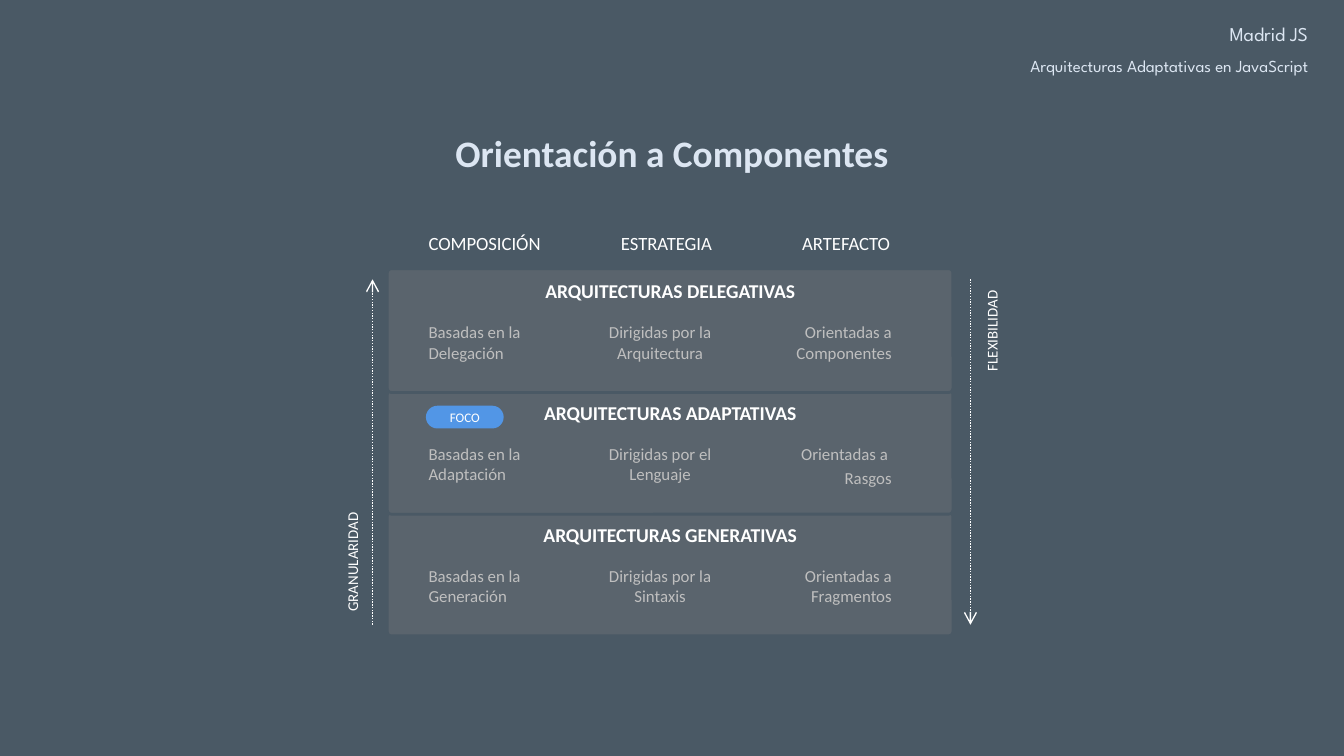
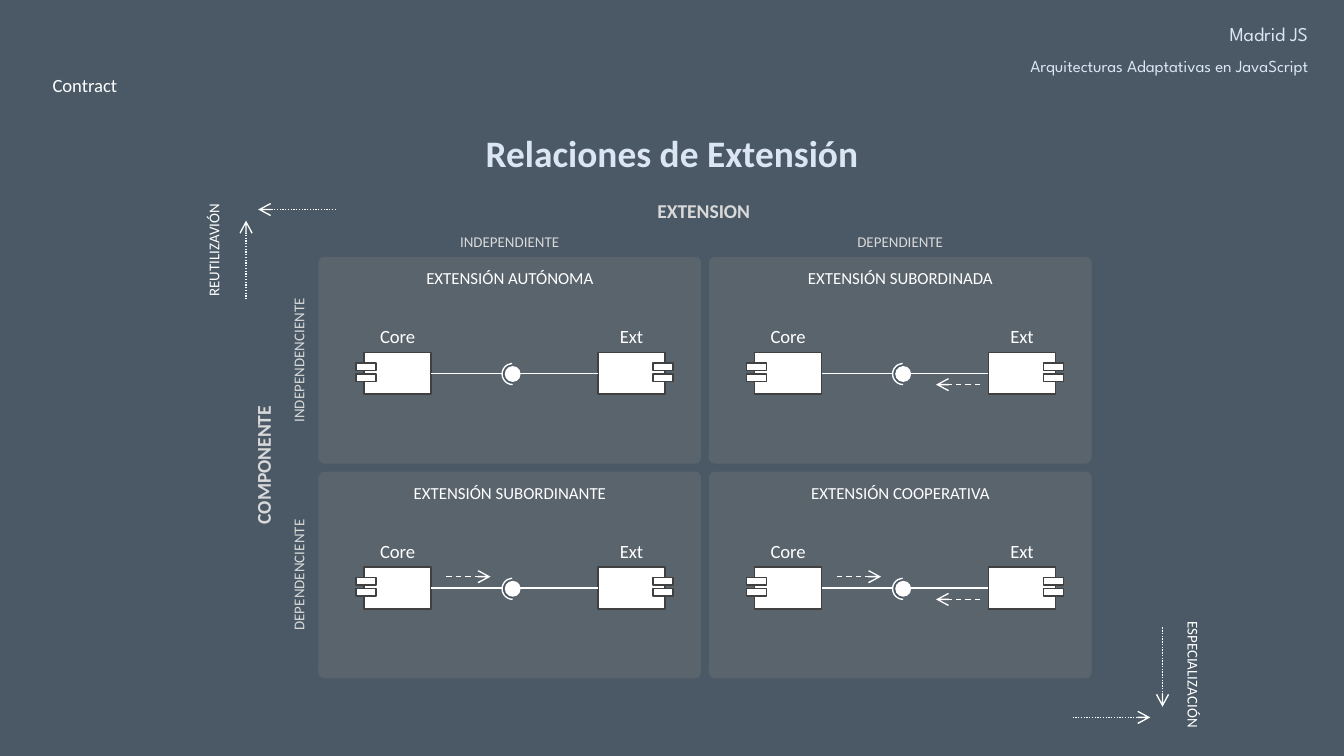
from dataclasses import dataclass
from typing import NamedTuple, Optional

from pptx import Presentation
from pptx.dml.color import RGBColor
from pptx.enum.dml import MSO_LINE
from pptx.enum.shapes import MSO_CONNECTOR, MSO_SHAPE
from pptx.enum.text import MSO_ANCHOR, PP_ALIGN
from pptx.oxml.ns import qn
from pptx.util import Cm, Pt

WHITE = RGBColor(0xFF, 0xFF, 0xFF)
ICE = RGBColor(0xDC, 0xE6, 0xF2)
SILVER = RGBColor(0xD9, 0xD9, 0xD9)
ASH = RGBColor(0xBF, 0xBF, 0xBF)
GREY = RGBColor(0x80, 0x80, 0x80)
CHARCOAL = RGBColor(0x40, 0x40, 0x40)
SLATE = RGBColor(0x4A, 0x59, 0x65)
NAVY = RGBColor(0x2B, 0x3C, 0x4B)
BLUE = RGBColor(0x52, 0x96, 0xE6)

LEFT, CENTER, RIGHT = PP_ALIGN.LEFT, PP_ALIGN.CENTER, PP_ALIGN.RIGHT
TOP, MIDDLE = MSO_ANCHOR.TOP, MSO_ANCHOR.MIDDLE
RECT, ROUND = MSO_SHAPE.RECTANGLE, MSO_SHAPE.ROUNDED_RECTANGLE
OVAL, ARC = MSO_SHAPE.OVAL, MSO_SHAPE.ARC
STRAIGHT = MSO_CONNECTOR.STRAIGHT
DASH, DOTS = MSO_LINE.DASH, MSO_LINE.ROUND_DOT

BODY_FONT, HEADER_FONT = "Calibri", "League Spartan"
SLIDE_W, SLIDE_H = 25.4, 14.29
LABEL_H = 0.46
INSET = 0.13


class Box(NamedTuple):
    x: float
    y: float
    w: float
    h: float = LABEL_H


class Arrow(NamedTuple):
    x1: float
    y1: float
    x2: float
    y2: float


@dataclass
class Column:
    header: str
    header_x: float
    header_w: float
    align: PP_ALIGN


@dataclass
class Level:
    title: str
    details: tuple[str, str, str]


@dataclass
class Quadrant:
    title: str
    core_arrow: bool
    ext_arrow: bool


@dataclass
class SideLabel:
    text: str
    box: Box
    rotation: int
    align: PP_ALIGN = CENTER
    size: float = 8
    color: RGBColor = WHITE
    bold: bool = False


@dataclass
class Part:
    name: str
    x: float
    tab_x: float


# Slide 1 content
COLUMNS = [
    Column("COMPOSICIÓN", 7.85, 2.87, LEFT),
    Column("ESTRATEGIA", 11.35, 2.49, CENTER),
    Column("ARTEFACTO", 14.58, 2.49, RIGHT),
]
LEVELS = [
    Level("ARQUITECTURAS DELEGATIVAS", ("Basadas en la Delegación",
          "Dirigidas por la Arquitectura", "Orientadas a Componentes")),
    Level("ARQUITECTURAS ADAPTATIVAS", ("Basadas en la Adaptación",
          "Dirigidas por el Lenguaje", "Orientadas a \nRasgos")),
    Level("ARQUITECTURAS GENERATIVAS", ("Basadas en la Generación",
          "Dirigidas por la Sintaxis", "Orientadas a Fragmentos")),
]
LEVEL = Box(7.32, 5.08, 10.69, 2.34)
LEVEL_PITCH = 2.3
DETAIL_X, DETAIL_PITCH, DETAIL_W = 7.85, 3.0, 3.25
LEVEL_ARROWS = [Arrow(7.04, 11.81, 7.04, 5.28), Arrow(18.34, 5.28, 18.34, 11.81)]
LEVEL_LABELS = [
    SideLabel("FLEXIBILIDAD", Box(17.7, 6.05, 2.08), 270, RIGHT),
    SideLabel("GRANULARIDAD", Box(5.26, 10.19, 2.79), 270, LEFT),
]

# Slide 2 content
QUADRANTS = [
    Quadrant("EXTENSIÓN AUTÓNOMA", False, False),
    Quadrant("EXTENSIÓN SUBORDINADA", False, True),
    Quadrant("EXTENSIÓN SUBORDINANTE", True, False),
    Quadrant("EXTENSIÓN COOPERATIVA", True, True),
]
QUAD = Box(5.99, 4.83, 7.29, 3.96)
QUAD_DX, QUAD_DY = 7.38, 4.06
PARTS = [Part("Core", 0.89, 0.74), Part("Ext", 5.31, 6.35)]
OUTER_ARROWS = [
    Arrow(4.65, 5.66, 4.65, 4.17),
    Arrow(6.35, 3.96, 4.88, 3.96),
    Arrow(21.97, 11.86, 21.97, 13.36),
    Arrow(20.27, 13.56, 21.74, 13.56),
]
AXIS_LABELS = [
    SideLabel("REUTILIZAVIÓN", Box(2.64, 4.5, 2.79), 270),
    SideLabel("ESPECIALIZACIÓN", Box(21.16, 12.52, 2.79), 90),
    SideLabel("INDEPENDENCIENTE", Box(3.66, 6.58, 3.96), 270, color=SILVER),
    SideLabel("DEPENDENCIENTE", Box(3.66, 6.58 + QUAD_DY, 3.96), 270, color=SILVER),
    SideLabel("COMPONENTE", Box(3.23, 8.56, 3.48), 270, size=10.5, color=SILVER, bold=True),
    SideLabel("INDEPENDIENTE", Box(QUAD.x, 4.34, QUAD.w), 0, color=SILVER),
    SideLabel("DEPENDIENTE", Box(QUAD.x + QUAD_DX, 4.34, QUAD.w), 0, color=SILVER),
    SideLabel("EXTENSION", Box(11.56, 3.76, 3.48), 0, size=10.5, color=SILVER, bold=True),
]


# Drawing helpers
def write(shape, text: str, *, size: float = 10, color: RGBColor = WHITE,
          align: PP_ALIGN = CENTER, anchor: MSO_ANCHOR = TOP, bold: bool = False,
          font: str = BODY_FONT, inset: float = 0, leading: Optional[float] = None) -> None:
    """Add one paragraph per line of text to the shape."""
    tf = shape.text_frame
    tf.word_wrap = True
    tf.vertical_anchor = anchor
    tf.margin_top = tf.margin_bottom = Cm(inset)
    for line in text.split("\n"):
        p = tf.paragraphs[0]
        if tf.text:
            p = tf.add_paragraph()
            p.space_before = Pt(0.2 * size)
        p.alignment = align
        if leading:
            p.line_spacing = Pt(leading)
        r = p.add_run()
        r.text = line
        r.font.name, r.font.size, r.font.bold = font, Pt(size), bold
        r.font.color.rgb = color


def add_box(s, box: Box, rotation: int = 0):
    tb = s.shapes.add_textbox(*map(Cm, box))
    tb.rotation = rotation
    return tb


def add_shape(s, kind: MSO_SHAPE, box: Box, fill: RGBColor, line: Optional[RGBColor] = None,
              width: float = 0.75, alpha: Optional[int] = None, adj: tuple[float, ...] = ()):
    sp = s.shapes.add_shape(kind, *map(Cm, box))
    sp.shadow.inherit = False
    for i, value in enumerate(adj):
        sp.adjustments[i] = value
    sp.fill.solid()
    sp.fill.fore_color.rgb = fill
    if alpha is not None:
        clr = sp.fill._xPr.find(qn("a:solidFill"))[0]
        clr.makeelement(qn("a:alpha"), {})
        alpha_el = clr.makeelement(qn("a:alpha"), {"val": str(alpha * 1000)})
        clr.append(alpha_el)
    if line is None:
        sp.line.fill.background()
    else:
        sp.line.color.rgb = line
        sp.line.width = Pt(width)
    return sp


def add_panel(s, box: Box) -> None:
    add_shape(s, ROUND, box, GREY, SLATE, 1.5, alpha=30, adj=(0.033,))


def add_line(s, ends: Arrow, dash: Optional[MSO_LINE] = None):
    """Draw a white line; a dashed or dotted one gets an arrowhead."""
    c = s.shapes.add_connector(STRAIGHT, *map(Cm, ends))
    c.line.color.rgb = WHITE
    c.line.width = Pt(0.75)
    if dash is not None:
        c.line.dash_style = dash
        ln = c.line._get_or_add_ln()
        ln.append(ln.makeelement(qn("a:tailEnd"), {"type": "arrow"}))
    sp_pr = c._element.spPr
    sp_pr.append(sp_pr.makeelement(qn("a:effectLst"), {}))
    return c


def add_side_label(s, label: SideLabel) -> None:
    write(add_box(s, label.box, label.rotation), label.text, size=label.size,
          color=label.color, align=label.align, anchor=MIDDLE, bold=label.bold)


def new_slide(prs, title: str):
    s = prs.slides.add_slide(prs.slide_layouts[6])
    add_shape(s, RECT, Box(0, 0, SLIDE_W, SLIDE_H), NAVY, alpha=85)
    header = add_box(s, Box(15.44, 0.38, 9.53, 0.89))
    style = dict(color=ICE, align=RIGHT, font=HEADER_FONT, inset=INSET)
    write(header, "Madrid JS", size=10.5, leading=10, **style)
    write(header, "Arquitecturas Adaptativas en JavaScript", size=9, leading=14.6, **style)
    write(add_box(s, Box(8.32, 2.34, 8.76, 1.12)), title, size=20, color=ICE,
          bold=True, inset=INSET)
    return s


# Slides
def components_slide(prs) -> None:
    s = new_slide(prs, "Orientación a Componentes")
    for col in COLUMNS:
        write(add_box(s, Box(col.header_x, 4.37, col.header_w)), col.header,
              align=col.align, anchor=MIDDLE)
    # Lower levels go first so each upper border overlaps the next one
    for row, level in reversed(list(enumerate(LEVELS))):
        y = LEVEL.y + row * LEVEL_PITCH
        add_panel(s, LEVEL._replace(y=y))
        write(add_box(s, Box(7.59, y + 0.2, 10.16)), level.title, size=10.5, bold=True)
        for i, (col, detail) in enumerate(zip(COLUMNS, level.details)):
            box = Box(DETAIL_X + i * DETAIL_PITCH, y + 1.01, DETAIL_W)
            write(add_box(s, box), detail, size=9, color=ASH, align=col.align)
    for arrow in LEVEL_ARROWS:
        add_line(s, arrow, DOTS)
    for label in LEVEL_LABELS:
        add_side_label(s, label)
    focus = add_shape(s, ROUND, Box(8.05, 7.67, 1.47, 0.43), BLUE, adj=(0.5,))
    write(focus, "FOCO", size=7, anchor=MIDDLE)


def add_part(s, part: Part, x: float, y: float):
    """Draw a component with its two tabs and its name."""
    body = add_shape(s, RECT, Box(x + part.x, y + 1.83, 1.27, 0.79), WHITE, CHARCOAL)
    for tab_y in (2.03, 2.24):
        add_shape(s, RECT, Box(x + part.tab_x, y + tab_y, 0.38, 0.14), WHITE, CHARCOAL)
    write(add_box(s, Box(x + part.x, y + 1.32, 1.27)), part.name)
    return body


def add_quadrant(s, quad: Quadrant, x: float, y: float) -> None:
    add_panel(s, QUAD._replace(x=x, y=y))
    core, ext = (add_part(s, part, x, y) for part in PARTS)
    link = add_line(s, Arrow(x + 2.16, y + 2.23, x + 5.31, y + 2.23))
    link.begin_connect(core, 3)
    link.end_connect(ext, 1)
    write(add_box(s, Box(x, y + 0.2, QUAD.w)), quad.title, size=9, anchor=MIDDLE)
    # Socket and ball share one centre
    cx, cy = x + 3.7, y + 2.24
    add_shape(s, ARC, Box(cx - 0.2, cy - 0.2, 0.4, 0.4), SLATE, WHITE, adj=(54, 160.19))
    add_shape(s, OVAL, Box(cx - 0.15, cy - 0.15, 0.3, 0.3), WHITE)
    if quad.core_arrow:
        add_line(s, Arrow(x + 2.44, y + 2.01, x + 3.28, y + 2.01), DASH)
    if quad.ext_arrow:
        add_line(s, Arrow(x + 5.16, y + 2.44, x + 4.32, y + 2.44), DASH)


def extension_slide(prs) -> None:
    s = new_slide(prs, "Relaciones de Extensión")
    for i, quad in enumerate(QUADRANTS):
        row, col = divmod(i, 2)
        add_quadrant(s, quad, QUAD.x + col * QUAD_DX, QUAD.y + row * QUAD_DY)
    for arrow in OUTER_ARROWS:
        add_line(s, arrow, DOTS)
    for label in AXIS_LABELS:
        add_side_label(s, label)
    write(add_box(s, Box(0.36, 1.4, 2.49)), "Contract")


def main() -> None:
    prs = Presentation()
    prs.slide_width, prs.slide_height = Cm(SLIDE_W), Cm(SLIDE_H)
    components_slide(prs)
    extension_slide(prs)
    prs.save("out.pptx")


if __name__ == "__main__":
    main()
